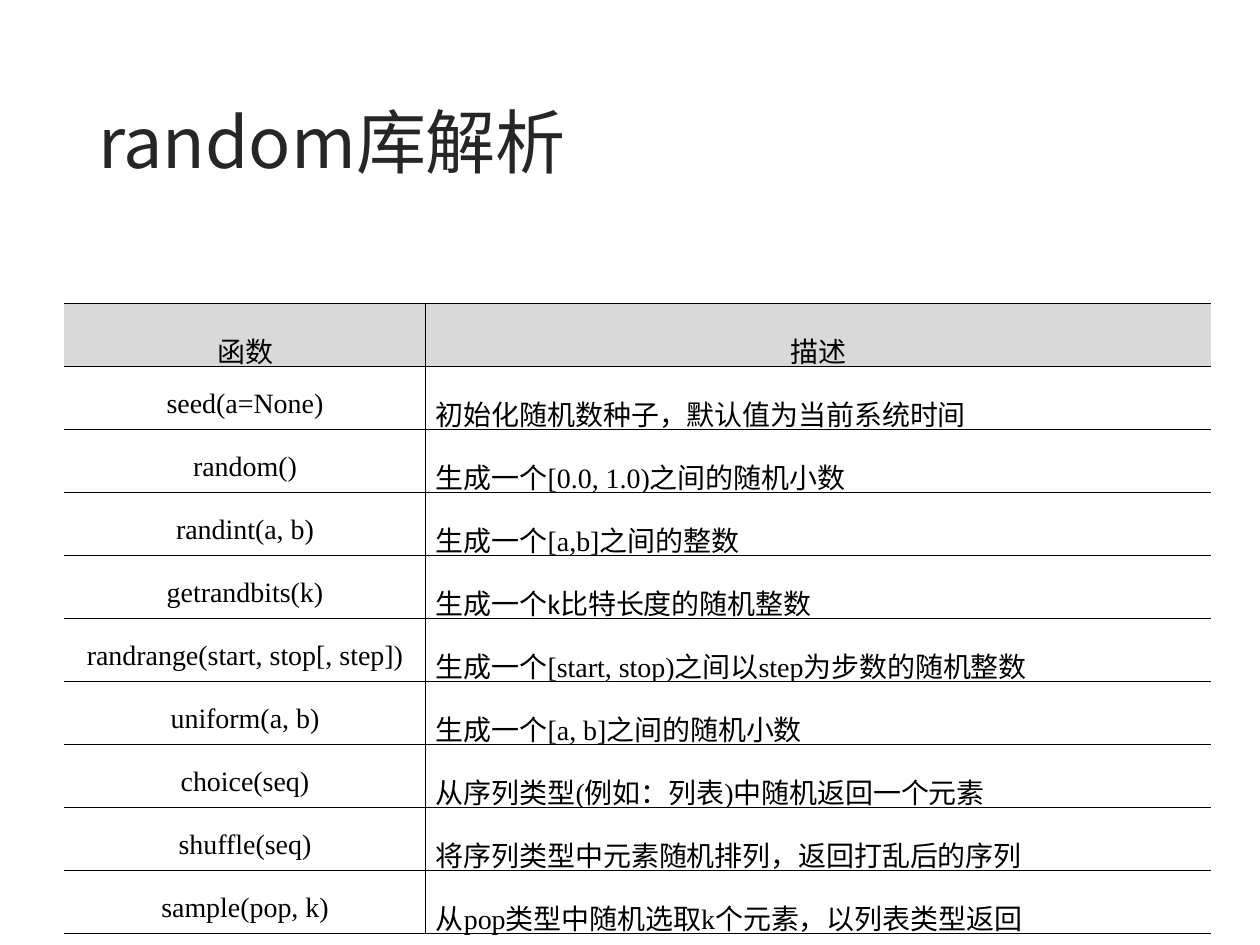
"""Build a slide with a reference table of the random library."""
from dataclasses import dataclass

from lxml.etree import SubElement
from pptx import Presentation
from pptx.dml.color import RGBColor
from pptx.enum.text import MSO_ANCHOR as Anchor, MSO_AUTO_SIZE as AutoSize, PP_ALIGN as Align
from pptx.oxml import parse_xml
from pptx.oxml.ns import nsdecls, qn
from pptx.util import Inches, Pt

COLORS = {"title": "262626", "text": "000000", "border": "000000",
          "header": "D9D9D9", "body": "FFFFFF", "shadow": "C0C0C0"}
CJK_FONT = "Noto Sans CJK SC"
LATIN_FONT = "Times New Roman"
COLUMN_WIDTHS = (2.87, 6.23)
HEADER_HEIGHT, ROW_HEIGHT = 0.4, 0.43


@dataclass
class Entry:
    function: str
    description: str
    description_font: str = LATIN_FONT


ENTRIES = [
    Entry("函数", "描述"),
    Entry("seed(a=None)", "初始化随机数种子，默认值为当前系统时间"),
    Entry("random()", "生成一个[0.0, 1.0)之间的随机小数"),
    Entry("randint(a, b)", "生成一个[a,b]之间的整数"),
    Entry("getrandbits(k)", "生成一个k比特长度的随机整数", "Calibri"),
    Entry("randrange(start, stop[, step])", "生成一个[start, stop)之间以step为步数的随机整数"),
    Entry("uniform(a, b)", "生成一个[a, b]之间的随机小数"),
    Entry("choice(seq)", "从序列类型(例如：列表)中随机返回一个元素"),
    Entry("shuffle(seq)", "将序列类型中元素随机排列，返回打乱后的序列"),
    Entry("sample(pop, k)", "从pop类型中随机选取k个元素，以列表类型返回"),
]


def add_run(para, text: str, size: float, font: str, color: str):
    """Append a styled run with Latin and East Asian fonts."""
    span = para.add_run()
    span.text = text
    span.font.size = Pt(size)
    span.font.name = font
    span.font.color.rgb = RGBColor.from_string(COLORS[color])
    SubElement(span.font._element, qn("a:ea")).set("typeface", CJK_FONT)
    return span


def add_text_shadow(span) -> None:
    """Give a run a soft offset shadow."""
    shadow = parse_xml(
        f'<a:effectLst {nsdecls("a")}><a:outerShdw dist="38100" dir="2700000" algn="tl">'
        f'<a:srgbClr val="{COLORS["shadow"]}"/></a:outerShdw></a:effectLst>')
    span.font._element.find(qn("a:solidFill")).addnext(shadow)


def fill_title(title) -> None:
    """Place and write the slide title."""
    title.left, title.top = Inches(0.68), Inches(0.73)
    title.width, title.height = Inches(4.08), Inches(0.77)
    frame = title.text_frame
    frame.word_wrap = False
    frame.auto_size = AutoSize.SHAPE_TO_FIT_TEXT
    frame.vertical_anchor = Anchor.MIDDLE
    para = frame.paragraphs[0]
    para.alignment = Align.LEFT
    add_text_shadow(add_run(para, "random库解析", 40, CJK_FONT, "title"))


def set_borders(cell, visible: str) -> None:
    """Draw the named sides of a cell and hide the others."""
    properties = cell._tc.get_or_add_tcPr()
    for index, side in enumerate("LRTB"):
        paint = (f'<a:solidFill><a:srgbClr val="{COLORS["border"]}"/></a:solidFill>'
                 if side in visible else "<a:noFill/>")
        properties.insert(index, parse_xml(
            f'<a:ln{side} {nsdecls("a")} w="{Pt(0.45)}">{paint}</a:ln{side}>'))


def fill_cell(cell, text: str, font: str, fill: str, align: Align, borders: str) -> None:
    """Write and style one table cell."""
    cell.margin_left = cell.margin_right = Inches(0.08)
    cell.margin_top = cell.margin_bottom = Inches(0.05)
    cell.fill.solid()
    cell.fill.fore_color.rgb = RGBColor.from_string(COLORS[fill])
    set_borders(cell, borders)
    para = cell.text_frame.paragraphs[0]
    para.alignment = align
    para.line_spacing = 1.5
    add_run(para, text, 16, font, "text")


def add_function_table(page) -> None:
    """Add the table of functions and their descriptions."""
    height = HEADER_HEIGHT + ROW_HEIGHT * (len(ENTRIES) - 1)
    table = page.shapes.add_table(
        len(ENTRIES), len(COLUMN_WIDTHS), Inches(0.51), Inches(2.41),
        Inches(sum(COLUMN_WIDTHS)), Inches(height)).table
    table.first_row = table.horz_banding = False
    for column, width in zip(table.columns, COLUMN_WIDTHS):
        column.width = Inches(width)
    for index, entry in enumerate(ENTRIES):
        is_header = index == 0
        table.rows[index].height = Inches(HEADER_HEIGHT if is_header else ROW_HEIGHT)
        fill = "header" if is_header else "body"
        align = Align.CENTER if is_header else Align.JUSTIFY
        fill_cell(table.cell(index, 0), entry.function, LATIN_FONT, fill, Align.CENTER, "RTB")
        fill_cell(table.cell(index, 1), entry.description, entry.description_font,
                  fill, align, "LTB")


def main() -> None:
    """Build and save the deck."""
    deck = Presentation()
    deck.slide_width, deck.slide_height = Inches(10), Inches(7.5)
    page = deck.slides.add_slide(deck.slide_layouts[5])
    fill_title(page.shapes.title)
    add_function_table(page)
    deck.save("out.pptx")


if __name__ == "__main__":
    main()
